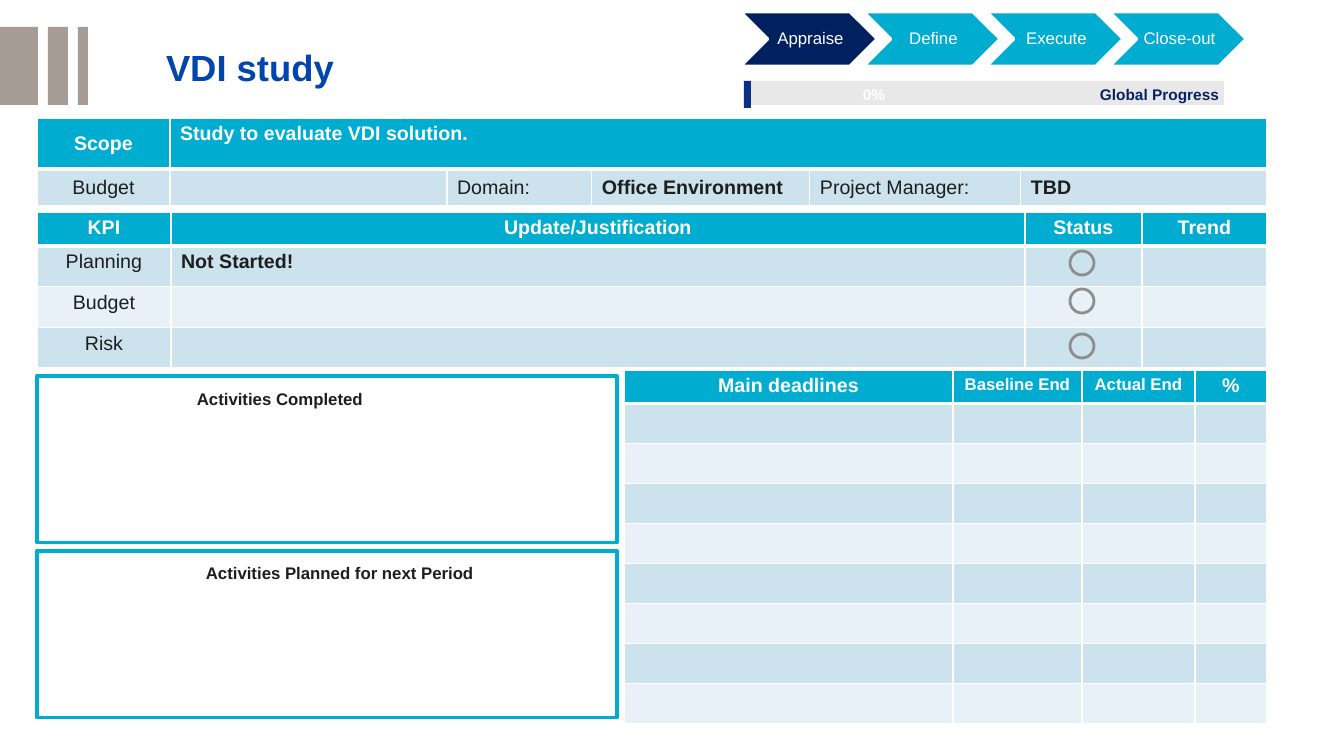
"""Build the VDI study project status slide."""
import dataclasses

import lxml.etree
import pptx
import pptx.dml.color
import pptx.enum.shapes
import pptx.enum.text
import pptx.oxml.ns
import pptx.util

SHAPES = pptx.enum.shapes.MSO_SHAPE
ALIGN = pptx.enum.text.PP_ALIGN
ANCHOR = pptx.enum.text.MSO_ANCHOR


@dataclasses.dataclass(frozen=True)
class Theme:
    font: str = "Arial"
    white: str = "FFFFFF"
    ink: str = "1E1E1E"
    title: str = "0046AD"
    cyan: str = "00ADD0"
    navy: str = "002060"
    band: str = "CCE3EE"
    pale_band: str = "E7F1F7"
    taupe: str = "A59D95"
    track: str = "E8E8E8"
    progress: str = "0A2F85"
    progress_label: str = "082364"
    ring: str = "8E8E8E"
    title_size: int = 26
    table_size: int = 14
    label_size: int = 12
    small_size: int = 11


@dataclasses.dataclass(frozen=True)
class Entry:
    text: str
    bold: bool = False
    align: ALIGN = ALIGN.LEFT
    anchor: ANCHOR = ANCHOR.TOP
    size: int = Theme.table_size


def px(length):
    return pptx.util.Emu(round(length * 914400 / 100.8))


def rgb(color):
    return pptx.dml.color.RGBColor.from_string(color)


class StatusSlide:
    def __init__(self, presentation, theme):
        self.theme = theme
        self.slide = presentation.slides.add_slide(presentation.slide_layouts[5])

    def add_text(self, frame, text, size, color, bold=False, align=ALIGN.LEFT):
        paragraph = frame.paragraphs[0]
        paragraph.alignment = align
        run = paragraph.add_run()
        run.text = text
        run.font.name = self.theme.font
        run.font.size = pptx.util.Pt(size)
        run.font.bold = bold
        run.font.color.rgb = rgb(color)
        return paragraph

    def set_insets(self, frame, left, top, right, bottom):
        frame.margin_left, frame.margin_top = px(left), px(top)
        frame.margin_right, frame.margin_bottom = px(right), px(bottom)

    def title(self, text, *box):
        shape = self.slide.shapes.title
        shape.left, shape.top, shape.width, shape.height = map(px, box)
        frame = shape.text_frame
        self.set_insets(frame, 0, 0, 0, 0)
        frame.vertical_anchor = ANCHOR.MIDDLE
        self.add_text(frame, text, self.theme.title_size, self.theme.title, True)

    def shape(self, kind, *box, fill=None, line=None, line_width=2):
        shape = self.slide.shapes.add_shape(kind, *map(px, box))
        shape.shadow.inherit = False
        if fill:
            shape.fill.solid()
            shape.fill.fore_color.rgb = rgb(fill)
        else:
            shape.fill.background()
        if line:
            shape.line.color.rgb = rgb(line)
            shape.line.width = pptx.util.Pt(line_width)
        else:
            shape.line.fill.background()
        return shape

    def label(self, text, *box, size, color):
        frame = self.slide.shapes.add_textbox(*map(px, box)).text_frame
        frame.word_wrap = True
        self.add_text(frame, text, size, color, True)

    def phase(self, text, left, top, fill):
        shape = self.shape(SHAPES.CHEVRON, left, top, 136, 54, fill=fill, line=self.theme.white)
        frame = shape.text_frame
        frame.word_wrap = False
        frame.vertical_anchor = ANCHOR.MIDDLE
        self.set_insets(frame, 5, 2, 2, 2)
        paragraph = self.add_text(frame, text, self.theme.label_size, self.theme.white, align=ALIGN.CENTER)
        paragraph.line_spacing = 0.9

    def borders(self, cell, row):
        properties = cell._tc.get_or_add_tcPr()
        widths = {"a:lnL": 1, "a:lnR": 1, "a:lnT": 3 if row == 1 else 1, "a:lnB": 3 if row == 0 else 1}
        for position, (tag, width) in enumerate(widths.items()):
            line = lxml.etree.Element(pptx.oxml.ns.qn(tag), w=str(int(pptx.util.Pt(width))))
            solid = lxml.etree.SubElement(line, pptx.oxml.ns.qn("a:solidFill"))
            lxml.etree.SubElement(solid, pptx.oxml.ns.qn("a:srgbClr"), val=self.theme.white)
            properties.insert(position, line)

    def table(self, left, top, columns, rows, entries):
        theme = self.theme
        box = map(px, (left, top, sum(columns), sum(rows)))
        table = self.slide.shapes.add_table(len(rows), len(columns), *box).table
        for column, width in zip(table.columns, columns):
            column.width = px(width)
        for row, height in zip(table.rows, rows):
            row.height = px(height)
        for row in range(len(rows)):
            for column in range(len(columns)):
                cell = table.cell(row, column)
                cell.fill.solid()
                fill = theme.cyan if row == 0 else theme.band if row % 2 else theme.pale_band
                cell.fill.fore_color.rgb = rgb(fill)
                self.borders(cell, row)
                entry = entries.get((row, column))
                if entry is None:
                    cell.margin_top = cell.margin_bottom = 0
                    continue
                cell.vertical_anchor = entry.anchor
                color = theme.ink if row else theme.white
                self.add_text(cell.text_frame, entry.text, entry.size, color, entry.bold, entry.align)
        return table


def main():
    theme = Theme()
    presentation = pptx.Presentation()
    presentation.slide_width, presentation.slide_height = px(1344), px(756)
    status = StatusSlide(presentation, theme)

    for left, width in ((78, 10), (48, 20), (0, 38)):
        status.shape(SHAPES.RECTANGLE, left, 27, width, 78, fill=theme.taupe)
    status.title("VDI study", 166, 28, 560, 77)

    middle = ANCHOR.MIDDLE
    scope = status.table(37, 118, (133, 277, 145, 218, 211, 246), (51, 37), {
        (0, 0): Entry("Scope", True, ALIGN.CENTER, middle),
        (0, 1): Entry("Study to evaluate VDI solution.", True),
        (1, 0): Entry("Budget", False, ALIGN.CENTER, middle),
        (1, 2): Entry("Domain:", anchor=middle),
        (1, 3): Entry("Office Environment", True, anchor=middle),
        (1, 4): Entry("Project Manager:", anchor=middle),
        (1, 5): Entry("TBD", True, anchor=middle),
    })
    scope.cell(0, 1).merge(scope.cell(0, 5))

    status.shape(SHAPES.RECTANGLE, 744, 81, 480, 24, fill=theme.track)
    status.shape(SHAPES.RECTANGLE, 744, 81, 7, 27, fill=theme.progress)
    status.label("0%", 853, 80, 50, 29, size=theme.small_size, color=theme.white)
    status.label("Global Progress", 1090, 80, 145, 29, size=theme.small_size, color=theme.progress_label)

    for index, phase in enumerate(("Appraise", "Define", "Execute", "Close-out")):
        status.phase(phase, 741 + 123 * index, 12, theme.cyan if index else theme.navy)

    headings = ("KPI", "Update/Justification", "Status", "Trend")
    indicators = {(0, column): Entry(text, True, ALIGN.CENTER) for column, text in enumerate(headings)}
    for row, text in enumerate(("Planning", "Budget", "Risk"), 1):
        indicators[row, 0] = Entry(text, align=ALIGN.CENTER)
    indicators[1, 1] = Entry("Not Started!", True)
    status.table(37, 212, (134, 854, 117, 125), (32, 41, 41, 40), indicators)

    for top in (376, 551):
        status.shape(SHAPES.RECTANGLE, 37, top, 580, 167, fill=theme.white, line=theme.cyan, line_width=2.25)
    status.label("Activities Completed", 187, 384, 270, 30, size=theme.label_size, color=theme.ink)
    status.label("Activities Planned for next Period", 196, 558, 300, 30, size=theme.label_size, color=theme.ink)

    headings = (("Main deadlines", theme.table_size), ("Baseline End", theme.label_size),
                ("Actual End", theme.label_size), ("%", theme.table_size))
    deadlines = {(0, column): Entry(text, True, ALIGN.CENTER, size=size)
                 for column, (text, size) in enumerate(headings)}
    status.table(624, 370, (329, 129, 113, 72), [33] + [40] * 8, deadlines)

    for top in (251, 289, 334):
        status.shape(SHAPES.OVAL, 1070, top, 24, 24, line=theme.ring)
    presentation.save("out.pptx")


if __name__ == "__main__":
    main()
